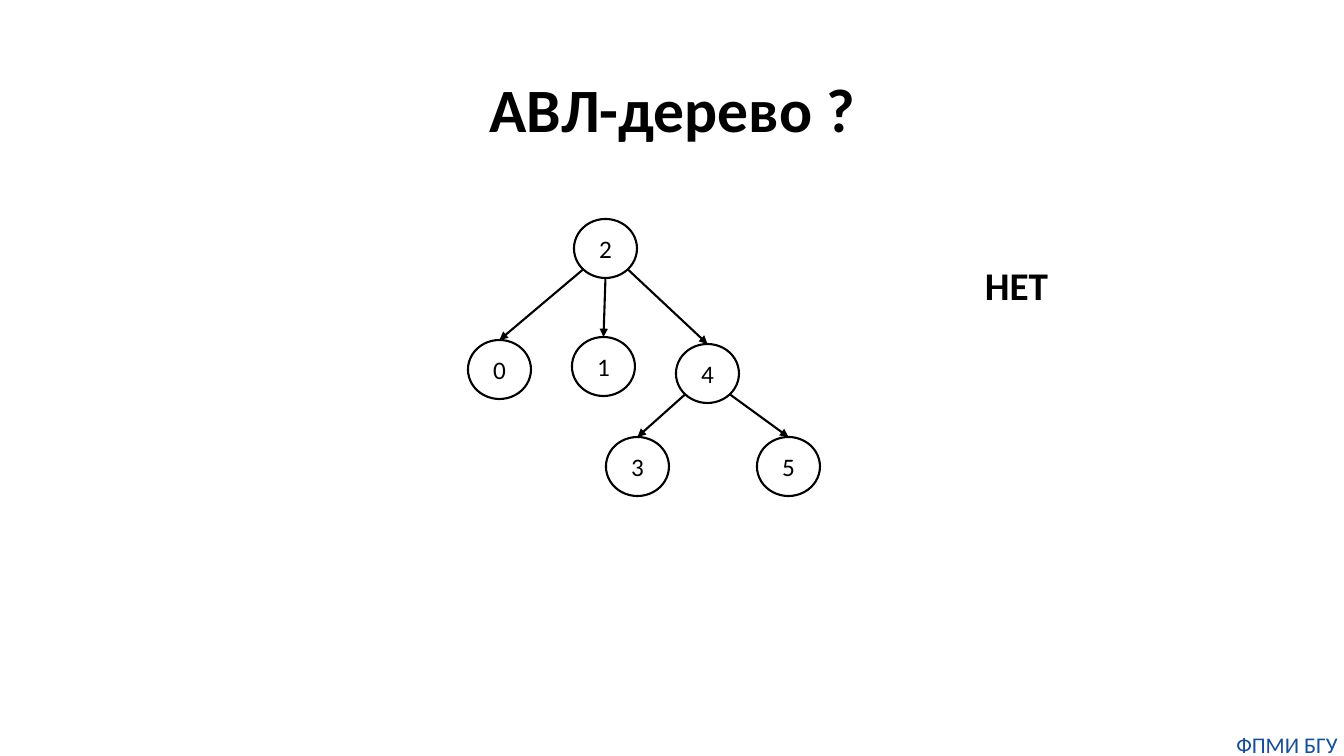
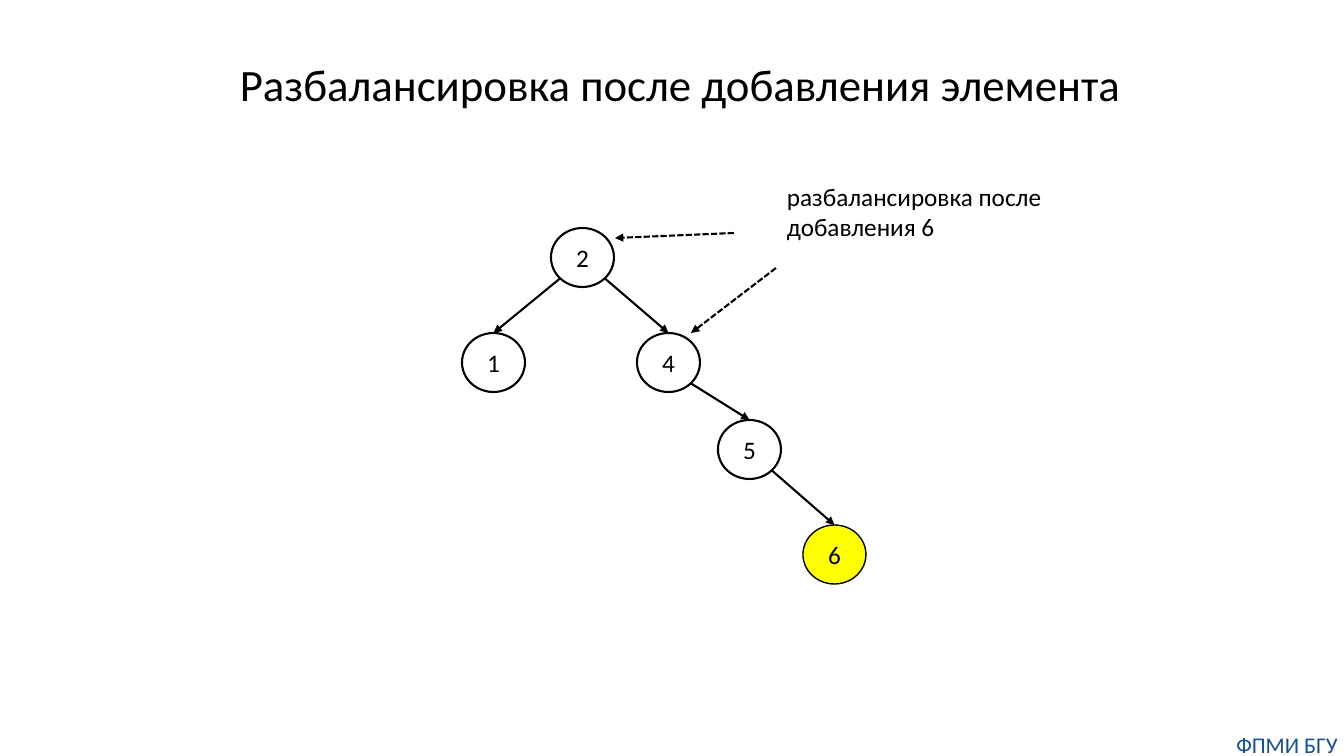
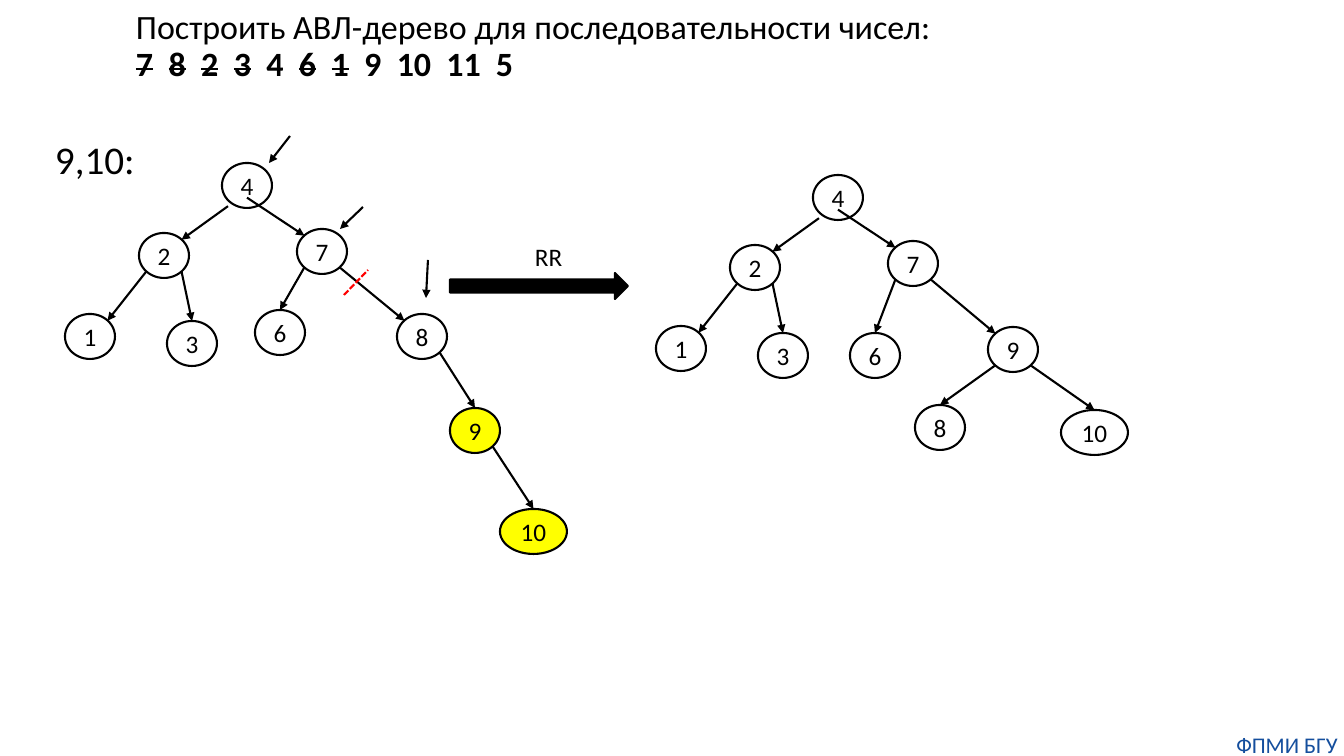
from lxml.etree import SubElement, Element
from pptx import Presentation
from pptx.dml.color import RGBColor
from pptx.enum.dml import MSO_LINE
from pptx.enum.shapes import MSO_CONNECTOR, MSO_SHAPE
from pptx.enum.text import MSO_ANCHOR, PP_ALIGN
from pptx.oxml.ns import qn
from pptx.util import Pt

PX = 914400 / 100.8
PAGE_SIZE = (1344, 756)
BLACK = RGBColor(0x00, 0x00, 0x00)
YELLOW = RGBColor(0xFF, 0xFF, 0x00)
RED = RGBColor(0xFF, 0x00, 0x00)
BLUE = RGBColor(0x14, 0x4E, 0x9D)
FONT = "Calibri"
LARGE_NODE = (63, 59)
SMALL_NODE = (50, 45)

# Points on a node where an edge may start or end, as shares of its box
PORTS = {
    "n": (0.5, 0), "s": (0.5, 1),
    "nw": (0.15, 0.15), "ne": (0.85, 0.15),
    "sw": (0.15, 0.85), "se": (0.85, 0.85),
    "foot": (0.12, 0.96), "inside": (0.5, 0.77),
}


def emu(*lengths):
    return [round(length * PX) for length in lengths]


def style_para(para, size, color=BLACK, bold=False, align=PP_ALIGN.LEFT, spacing=None):
    para.alignment = align
    para.line_spacing = spacing
    para.font.name = FONT
    para.font.size = Pt(size)
    para.font.bold = bold
    para.font.color.rgb = color


def clear_margins(frame):
    frame.margin_left = frame.margin_right = frame.margin_top = frame.margin_bottom = 0


def add_text(page, box, text, size, anchor=MSO_ANCHOR.TOP, **style):
    frame = page.shapes.add_textbox(*emu(*box)).text_frame
    frame.word_wrap = True
    frame.vertical_anchor = anchor
    clear_margins(frame)
    frame.text = text
    style_para(frame.paragraphs[0], size, **style)
    return frame


def add_title(page, box, text, size, bold=False):
    add_text(page, box, text, size, anchor=MSO_ANCHOR.MIDDLE,
             bold=bold, align=PP_ALIGN.CENTER, spacing=0.9)


def add_page(deck):
    page = deck.slides.add_slide(deck.slide_layouts[6])
    add_text(page, (1230, 731, 114, 25), "ФПМИ БГУ", 16, color=BLUE, align=PP_ALIGN.CENTER)
    return page


def add_line(page, start, end, color=BLACK, dashed=False, arrow=True):
    line = page.shapes.add_connector(MSO_CONNECTOR.STRAIGHT, *emu(*start, *end))
    line.line.color.rgb = color
    line.line.width = Pt(1.5)
    if dashed:
        line.line.dash_style = MSO_LINE.SQUARE_DOT
    properties = line._element.spPr
    if arrow:
        SubElement(properties.find(qn("a:ln")), qn("a:tailEnd"), type="triangle")
    SubElement(properties, qn("a:effectLst"))


def add_solid(page, kind, box, fill, line_width=1.5):
    shape = page.shapes.add_shape(kind, *emu(*box))
    shape.shadow.inherit = False
    if fill is None:
        shape.fill.background()
    else:
        shape.fill.solid()
        shape.fill.fore_color.rgb = fill
    shape.line.color.rgb = BLACK
    shape.line.width = Pt(line_width)
    return shape


def add_node(page, box, label, fill, line_width):
    frame = add_solid(page, MSO_SHAPE.OVAL, box, fill, line_width).text_frame
    clear_margins(frame)
    frame.word_wrap = False
    frame.vertical_anchor = MSO_ANCHOR.MIDDLE
    frame.text = label
    style_para(frame.paragraphs[0], 18, align=PP_ALIGN.CENTER)


def add_tree(page, origin, size, places, edges, added=(), added_line=1.5):
    """Draw nodes at places relative to origin; edges are 'parent port child port'."""
    boxes = {}
    for label, (left, top) in places.items():
        width = size[0] + 17 * (len(label) - 1)
        boxes[label] = (origin[0] + left, origin[1] + top, width, size[1])
        is_added = label in added
        add_node(page, boxes[label], label, YELLOW if is_added else None,
                 added_line if is_added else 1.5)

    def port_point(label, port):
        left, top, width, height = boxes[label]
        across, down = PORTS[port]
        return left + across * width, top + down * height

    for edge in edges:
        parent, leave, child, enter = edge.split()
        add_line(page, port_point(parent, leave), port_point(child, enter))


def add_marks(page, origin, marks, **style):
    for x1, y1, x2, y2 in marks:
        add_line(page, (origin[0] + x1, origin[1] + y1),
                 (origin[0] + x2, origin[1] + y2), **style)


def add_task(page, box, heading, numbers, done):
    """Heading line and a tabbed row of numbers, the used ones struck through."""
    frame = add_text(page, box, heading, 24.3, spacing=0.9)
    row = frame.add_paragraph()
    style_para(row, 24.3, bold=True, spacing=0.9)
    stops = Element(qn("a:tabLst"))
    position = 0
    for index, number in enumerate(numbers):
        if index:
            SubElement(stops, qn("a:tab"), pos=str(*emu(position)), algn="l")
            row.add_run().text = "\t"
        span = row.add_run()
        span.text = number
        if number in done:
            span._r.get_or_add_rPr().set("strike", "sngStrike")
        position += 32.6 + 17 * (len(number) - 1)
    row._p.pPr.find(qn("a:defRPr")).addprevious(stops)


def build_question(deck):
    page = add_page(deck)
    add_title(page, (93, 40, 1159, 146), "АВЛ-дерево ?", 44, bold=True)
    places = {"2": (106, 0), "0": (0, 121), "1": (104, 118), "4": (208, 125),
              "3": (138, 218), "5": (289, 218)}
    edges = ["2 sw 0 n", "2 s 1 n", "2 se 4 n", "4 sw 3 n", "4 se 5 n"]
    add_tree(page, (468, 219), LARGE_NODE, places, edges)
    add_text(page, (985, 261, 100, 48), "НЕТ", 28, bold=True)


def build_imbalance(deck):
    page = add_page(deck)
    add_title(page, (63, 14, 1235, 146), "Разбалансировка после добавления элемента", 32)
    origin = (462, 228)
    places = {"2": (89, 0), "1": (0, 105), "4": (175, 105), "5": (256, 192), "6": (341, 297)}
    edges = ["2 sw 1 n", "2 se 4 n", "4 se 5 n", "5 se 6 n"]
    add_tree(page, origin, LARGE_NODE, places, edges, added=("6",), added_line=1)
    # Pointers from the note to the unbalanced nodes
    add_marks(page, origin, [(272, 5, 153, 10), (314, 40, 229, 105)], dashed=True)
    add_text(page, (787, 181, 277, 62), "разбалансировка после добавления 6", 18)


def build_rotation(deck):
    page = add_page(deck)
    add_task(page, (136, 10, 1139, 78), "Построить АВЛ-дерево для последовательности чисел:",
             "7 8 2 3 4 6 1 9 10 11 5".split(), "7 8 2 3 6 1".split())
    add_text(page, (55, 141, 100, 45), "9,10:", 28, spacing=0.9)

    # Part of the tree that the rotation leaves alone
    places = {"4": (157, 0), "2": (74, 70), "7": (232, 66), "1": (0, 151), "3": (102, 158)}
    edges = ["4 foot 2 ne", "4 inside 7 nw", "2 sw 1 ne", "2 se 3 n", "7 sw 6 n"]

    # Before the rotation
    before = (65, 163)
    add_tree(page, before, SMALL_NODE,
             {**places, "6": (190, 147), "8": (332, 151), "9": (385, 245), "10": (435, 346)},
             edges + ["7 se 8 nw", "8 se 9 n", "9 se 10 n"], added=("9", "10"))
    add_marks(page, before, [(225, -27, 204, 0), (298, 44, 275, 66), (363, 97, 361, 135)])
    add_marks(page, before, [(279, 132, 303, 107)], color=RED, dashed=True, arrow=False)

    # Rotation arrow
    add_solid(page, MSO_SHAPE.RIGHT_ARROW, (450, 273, 178, 26), BLACK)
    add_text(page, (535, 241, 40, 31), "RR", 18)

    # After the rotation
    add_tree(page, (656, 175), SMALL_NODE,
             {**places, "6": (194, 158), "9": (332, 152), "8": (259, 230), "10": (405, 235)},
             edges + ["7 se 9 nw", "9 sw 8 n", "9 se 10 n"])


def main():
    deck = Presentation()
    deck.slide_width, deck.slide_height = emu(*PAGE_SIZE)
    build_question(deck)
    build_imbalance(deck)
    build_rotation(deck)
    deck.save("out.pptx")


if __name__ == "__main__":
    main()
